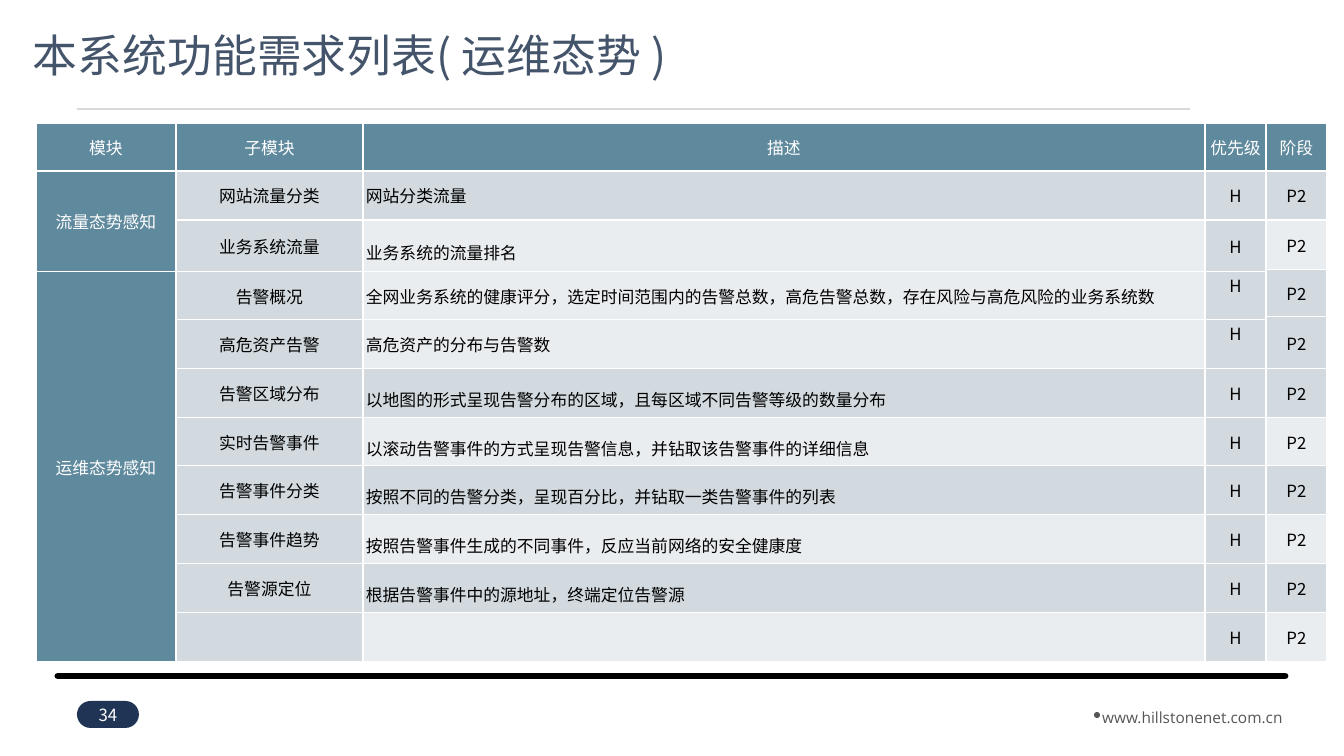
from lxml.etree import SubElement
from pptx import Presentation
from pptx.dml.color import RGBColor
from pptx.enum.shapes import MSO_CONNECTOR, MSO_SHAPE
from pptx.enum.text import MSO_ANCHOR, PP_ALIGN
from pptx.oxml.ns import qn
from pptx.util import Emu, Pt

SCALE = 914400 / 100.8
CJK, LATIN = "Noto Sans CJK SC", "Open Sans"
WHITE, BLACK, TEAL, DARK_BAND, LIGHT_BAND = "FFFFFF", "000000", "5F899D", "D2DADF", "EAEDEF"
HEADERS = ["模块", "子模块", "描述", "优先级", "阶段"]
COLUMN_WIDTHS = [140, 187, 842, 61, 61]
ROW_HEIGHTS = [48, 49, 50, 2, 45, 3, 49, 49, 48, 49, 49, 49, 49]
MODULES = [(1, 3, "流量态势感知"), (4, 12, "运维态势感知")]
FEATURE_ROWS = [1, 2, 4, 6, 7, 8, 9, 10, 11, 12]
PHASE_ROWS = [1, 2, 3, 5, 7, 8, 9, 10, 11, 12]
RAISED_PRIORITY_ROWS = [4, 6]
LOOSE_ROWS = [2, 7, 8, 9, 10, 11]
FEATURES = [
    ("网站流量分类", "网站分类流量"),
    ("业务系统流量", "业务系统的流量排名"),
    ("告警概况", "全网业务系统的健康评分，选定时间范围内的告警总数，高危告警总数，存在风险与高危风险的业务系统数"),
    ("高危资产告警", "高危资产的分布与告警数"),
    ("告警区域分布", "以地图的形式呈现告警分布的区域，且每区域不同告警等级的数量分布"),
    ("实时告警事件", "以滚动告警事件的方式呈现告警信息，并钻取该告警事件的详细信息"),
    ("告警事件分类", "按照不同的告警分类，呈现百分比，并钻取一类告警事件的列表"),
    ("告警事件趋势", "按照告警事件生成的不同事件，反应当前网络的安全健康度"),
    ("告警源定位", "根据告警事件中的源地址，终端定位告警源"),
    ("", ""),
]


def px(length):
    """Turn pixels into EMU."""
    return Emu(round(length * SCALE))


def color(hex_text):
    """Turn a hex string into a colour."""
    return RGBColor.from_string(hex_text)


def write(frame, text, size, ink, align=PP_ALIGN.LEFT, spacing=1.0, font=CJK):
    """Put one styled paragraph into a text frame."""
    para = frame.paragraphs[0]
    para.text = text
    para.alignment = align
    para.line_spacing = spacing
    para.font.size = Pt(size)
    para.font.name = font
    para.font.color.rgb = color(ink)
    SubElement(para._p.pPr.find(qn("a:defRPr")), qn("a:ea"), typeface=font)


def add_text(page, left, top, width, height, text, size, ink, **style):
    """Add a wrapped, vertically centred text box."""
    frame = page.shapes.add_textbox(px(left), px(top), px(width), px(height)).text_frame
    frame.word_wrap = True
    frame.vertical_anchor = MSO_ANCHOR.MIDDLE
    write(frame, text, size, ink, **style)


def add_rule(page, left, right, y, ink, weight, cap="flat"):
    """Add a horizontal line."""
    rule = page.shapes.add_connector(MSO_CONNECTOR.STRAIGHT, px(left), px(y), px(right), px(y))
    rule.line.color.rgb = color(ink)
    rule.line.width = Pt(weight)
    rule.line._ln.set("cap", cap)
    SubElement(rule._element.spPr, qn("a:effectLst"))


def add_solid(page, kind, left, top, width, height, fill):
    """Add a filled shape without outline or shadow."""
    shape = page.shapes.add_shape(kind, px(left), px(top), px(width), px(height))
    shape.shadow.inherit = False
    shape.fill.solid()
    shape.fill.fore_color.rgb = color(fill)
    shape.line.fill.background()
    return shape


def style_cell(cell, fill):
    """Set margins, anchor, white borders and fill of a cell."""
    cell.margin_left = cell.margin_right = px(3)
    cell.margin_top = cell.margin_bottom = 0
    cell.vertical_anchor = MSO_ANCHOR.MIDDLE
    properties = cell._tc.get_or_add_tcPr()
    for side in ("a:lnL", "a:lnR", "a:lnT", "a:lnB"):
        border = SubElement(properties, qn(side), w=str(Pt(1)))
        SubElement(SubElement(border, qn("a:solidFill")), qn("a:srgbClr"), val=WHITE)
    cell.fill.solid()
    cell.fill.fore_color.rgb = color(fill)


def fill_column(grid, column, starts, texts, ink=BLACK, align=PP_ALIGN.CENTER, loose=()):
    """Write texts down a column, merging each start row up to the next one."""
    ends = [start - 1 for start in starts[1:]] + [len(ROW_HEIGHTS) - 1]
    for start, end, text in zip(starts, ends, texts):
        cell = grid.cell(start, column)
        if end > start:
            cell.merge(grid.cell(end, column))
        if text:
            write(cell.text_frame, text, 12, ink, align, 1.5 if start in loose else 1.0)


def add_requirements(page):
    """Add the requirement table."""
    frame = page.shapes.add_table(len(ROW_HEIGHTS), len(HEADERS), px(36), px(123),
                                  px(sum(COLUMN_WIDTHS)), px(sum(ROW_HEIGHTS)))
    grid = frame.table
    grid.first_row = grid.horz_banding = False
    for column, width in zip(grid.columns, COLUMN_WIDTHS):
        column.width = px(width)
    for index, height in enumerate(ROW_HEIGHTS):
        grid.rows[index].height = px(height)
        band = DARK_BAND if index % 2 else LIGHT_BAND
        fills = [TEAL, DARK_BAND, band, DARK_BAND, band] if index else [TEAL] * len(HEADERS)
        for column, fill in enumerate(fills):
            style_cell(grid.cell(index, column), fill)
    for column, header in enumerate(HEADERS):
        write(grid.cell(0, column).text_frame, header, 12, WHITE, PP_ALIGN.CENTER)
    names, details = zip(*FEATURES)
    fill_column(grid, 0, [start for start, _, _ in MODULES], [name for _, _, name in MODULES], WHITE)
    fill_column(grid, 1, FEATURE_ROWS, names)
    fill_column(grid, 2, FEATURE_ROWS, details, align=PP_ALIGN.LEFT, loose=LOOSE_ROWS)
    fill_column(grid, 3, FEATURE_ROWS, ["H"] * len(FEATURE_ROWS))
    fill_column(grid, 4, PHASE_ROWS, ["P2"] * len(PHASE_ROWS))
    for row in RAISED_PRIORITY_ROWS:
        grid.cell(row, 3).margin_bottom = px(22)


def main():
    """Build the slide and save it."""
    deck = Presentation()
    deck.slide_width, deck.slide_height = px(1344), px(756)
    page = deck.slides.add_slide(deck.slide_layouts[6])
    add_rule(page, 58, 1285, 676, BLACK, 5, "rnd")
    add_text(page, 1075, 694, 235, 38, "www.hillstonenet.com.cn", 11, "565656",
             align=PP_ALIGN.CENTER, spacing=1.5, font=LATIN)
    add_solid(page, MSO_SHAPE.OVAL, 1094, 712, 6, 6, "565656")
    add_rule(page, 77, 1190, 109, "D9D9D9", 1.5)
    add_text(page, 23, 25, 1082, 67, "本系统功能需求列表( 运维态势 )", 32, "44546A", spacing=0.9)
    badge = add_solid(page, MSO_SHAPE.ROUNDED_RECTANGLE, 77, 701, 62, 27, "203556")
    badge.adjustments[0] = 0.5
    badge.text_frame.vertical_anchor = MSO_ANCHOR.MIDDLE
    write(badge.text_frame, "34", 12, WHITE, PP_ALIGN.CENTER)
    add_requirements(page)
    deck.save("out.pptx")


if __name__ == "__main__":
    main()
